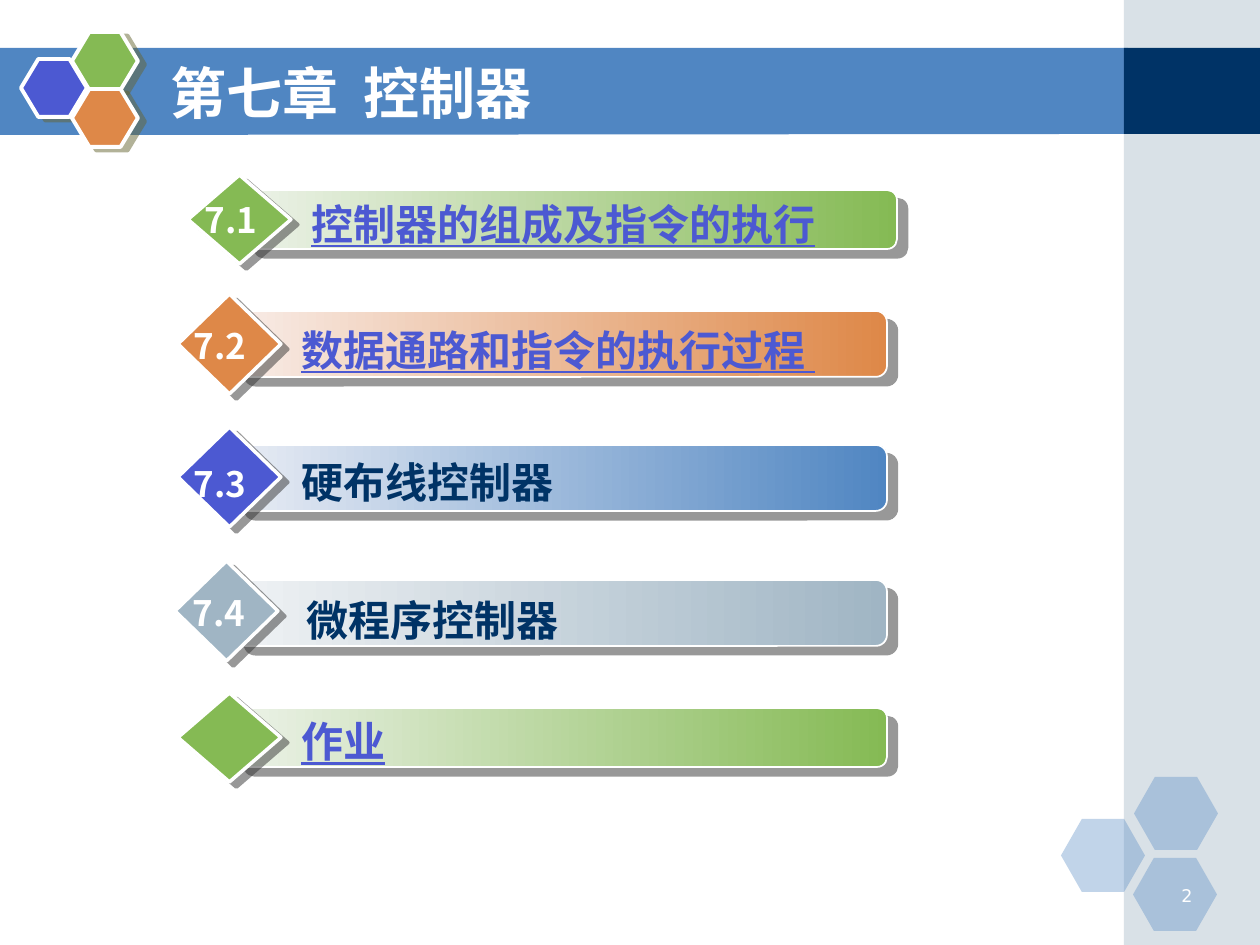
from typing import NamedTuple

from lxml import etree
from pptx import Presentation
from pptx.dml.color import RGBColor
from pptx.enum.shapes import MSO_SHAPE
from pptx.enum.text import MSO_ANCHOR, MSO_AUTO_SIZE, PP_ALIGN
from pptx.oxml.ns import qn
from pptx.util import Emu, Pt

EMU_PER_PX = 914400 / 126

RECTANGLE = MSO_SHAPE.RECTANGLE
ROUNDED = MSO_SHAPE.ROUNDED_RECTANGLE
DIAMOND = MSO_SHAPE.DIAMOND
HEXAGON = MSO_SHAPE.HEXAGON
RIGHT, LEFT = PP_ALIGN.RIGHT, PP_ALIGN.LEFT

WHITE = RGBColor(0xFF, 0xFF, 0xFF)
NAVY = RGBColor(0x00, 0x33, 0x66)
BLUE = RGBColor(0x50, 0x86, 0xC2)
INDIGO = RGBColor(0x4C, 0x59, 0xD2)
GREEN = RGBColor(0x85, 0xBA, 0x54)
ORANGE = RGBColor(0xDE, 0x88, 0x48)
GREY = RGBColor(0xA0, 0xB5, 0xC4)
PALE_BLUE = RGBColor(0xE8, 0xEC, 0xF4)
PALE_GREEN = RGBColor(0xEC, 0xF2, 0xE8)
PALE_ORANGE = RGBColor(0xF8, 0xEC, 0xE7)
PALE_GREY = RGBColor(0xEF, 0xF2, 0xF4)
OLIVE_SHADOW = RGBColor(0x66, 0x66, 0x33)
DARK_SHADOW = RGBColor(0x33, 0x33, 0x33)

FONT = "Noto Sans CJK SC"
NUMBER_FONT = "DejaVu Sans"


class Section(NamedTuple):
    number: str
    name: str
    linked: bool
    color: RGBColor
    tint: RGBColor
    bar: tuple  # left, top, height
    diamond: tuple  # left, top, height
    label: tuple  # left, top
    number_at: tuple  # left, top


SECTIONS = [
    Section("7.1", "控制器的组成及指令的执行", True, GREEN, PALE_GREEN,
            (244, 190, 59), (188, 175, 89), (299, 192), (192, 192)),
    Section("7.2", "数据通路和指令的执行过程 ", True, ORANGE, PALE_ORANGE,
            (234, 311, 66), (178, 294, 100), (289, 318), (181, 318)),
    Section("7.3", "硬布线控制器", False, BLUE, PALE_BLUE,
            (234, 445, 66), (178, 427, 100), (289, 450), (181, 456)),
    Section("7.4", "微程序控制器", False, GREY, PALE_GREY,
            (234, 580, 66), (175, 561, 100), (294, 588), (180, 585)),
    Section("", "作业", True, GREEN, PALE_GREEN,
            (234, 708, 59), (178, 693, 89), (289, 709), ()),
]


def px(value):
    return Emu(round(value * EMU_PER_PX))


def add_shape(slide, kind, box, color, line_width=0, opacity=100):
    shape = slide.shapes.add_shape(kind, *map(px, box))
    shape.shadow.inherit = False
    shape.fill.solid()
    shape.fill.fore_color.rgb = color
    if opacity < 100:
        color_element = shape.fill._xPr.find(".//" + qn("a:srgbClr"))
        etree.SubElement(color_element, qn("a:alpha"), val=str(opacity * 1000))
    if line_width:
        shape.line.color.rgb = WHITE
        shape.line.width = Pt(line_width)
    else:
        shape.line.fill.background()
    return shape


def add_shadow(shape, color, distance, angle):
    """Cast a sharp half-transparent shadow; distance in points, angle in degrees."""
    effects = shape._element.spPr.find(qn("a:effectLst"))
    shadow = etree.SubElement(effects, qn("a:outerShdw"), blurRad="0",
                              dist=str(Pt(distance)), dir=str(angle * 60000),
                              algn="ctr", rotWithShape="0")
    color_element = etree.SubElement(shadow, qn("a:srgbClr"), val=str(color))
    etree.SubElement(color_element, qn("a:alpha"), val="50000")


def format_run(run, size, color, bold=True, font=FONT):
    run.font.size = Pt(size)
    run.font.bold = bold
    run.font.color.rgb = color
    run.font.name = font
    etree.SubElement(run.font._element, qn("a:ea"), typeface=font)


def add_text(slide, text, box, size, color, bold=True, font=FONT, align=LEFT):
    text_frame = slide.shapes.add_textbox(*map(px, box)).text_frame
    text_frame.word_wrap = True
    text_frame.text = text
    paragraph = text_frame.paragraphs[0]
    paragraph.alignment = align
    format_run(paragraph.runs[0], size, color, bold, font)
    return paragraph.runs[0]


def add_band(slide):
    builder = slide.shapes.build_freeform(0, 48, scale=EMU_PER_PX)
    builder.add_line_segments([(1128, 48), (1128, 134), (0, 135)])
    band = builder.convert_to_shape()
    band.shadow.inherit = False
    band.fill.solid()
    band.fill.fore_color.rgb = BLUE
    band.line.fill.background()


def add_decoration(slide):
    add_band(slide)
    add_shape(slide, RECTANGLE, (1124, 0, 136, 945), GREY, opacity=40)
    add_shape(slide, RECTANGLE, (1124, 48, 136, 86), NAVY)
    for left, top in [(1061, 819), (1134, 777), (1133, 858)]:
        hexagon = add_shape(slide, HEXAGON, (left, top, 84, 73), BLUE, opacity=35)
        hexagon.adjustments[0] = 0.286
    for left, top, color in [(21, 59, INDIGO), (72, 32, GREEN), (72, 89, ORANGE)]:
        hexagon = add_shape(slide, HEXAGON, (left, top, 66, 58), color, 2.25)
        hexagon.adjustments[0] = 0.3
        add_shadow(hexagon, OLIVE_SHADOW, 4.5, 27)


def set_title(slide):
    title = slide.shapes.title
    slide.shapes._spTree.append(title._element)  # in front of the band
    title.left, title.top, title.width, title.height = map(px, (158, 53, 924, 78))
    text_frame = title.text_frame
    text_frame.auto_size = MSO_AUTO_SIZE.NONE
    text_frame.vertical_anchor = MSO_ANCHOR.MIDDLE
    paragraph = text_frame.paragraphs[0]
    paragraph.alignment = LEFT
    for text in ("第七章", " ", "控制器"):
        run = paragraph.add_run()
        run.text = text
        format_run(run, 32, WHITE)
    paragraph.runs[1].font._element.set("spc", "710")  # widen the gap


def add_section(slide, section):
    left, top, height = section.bar
    bar = add_shape(slide, ROUNDED, (left, top, 653, height), section.color, 1)
    bar.adjustments[0] = 0.167
    bar.fill.gradient()
    bar.fill.gradient_angle = 0
    for stop, color in zip(bar.fill.gradient_stops, (section.tint, section.color)):
        stop.color.rgb = color
    add_shadow(bar, DARK_SHADOW, 7.8, 40)

    left, top, height = section.diamond
    color = INDIGO if section.color == BLUE else section.color
    diamond = add_shape(slide, DIAMOND, (left, top, 103, height), color, 2)
    add_shadow(diamond, DARK_SHADOW, 5, 37)

    run = add_text(slide, section.name, (*section.label, 579, 63), 24,
                   INDIGO if section.linked else NAVY)
    if section.linked:
        run.font.underline = True
    if section.number:
        add_text(slide, section.number, (*section.number_at, 105, 54), 20, WHITE)


def main():
    presentation = Presentation()
    presentation.slide_width, presentation.slide_height = px(1260), px(945)
    slide = presentation.slides.add_slide(presentation.slide_layouts[5])
    add_decoration(slide)
    add_text(slide, "2", (1142, 879, 63, 32), 10, WHITE, False, NUMBER_FONT, RIGHT)
    set_title(slide)
    for section in SECTIONS:
        add_section(slide, section)
    presentation.save("out.pptx")


if __name__ == "__main__":
    main()
